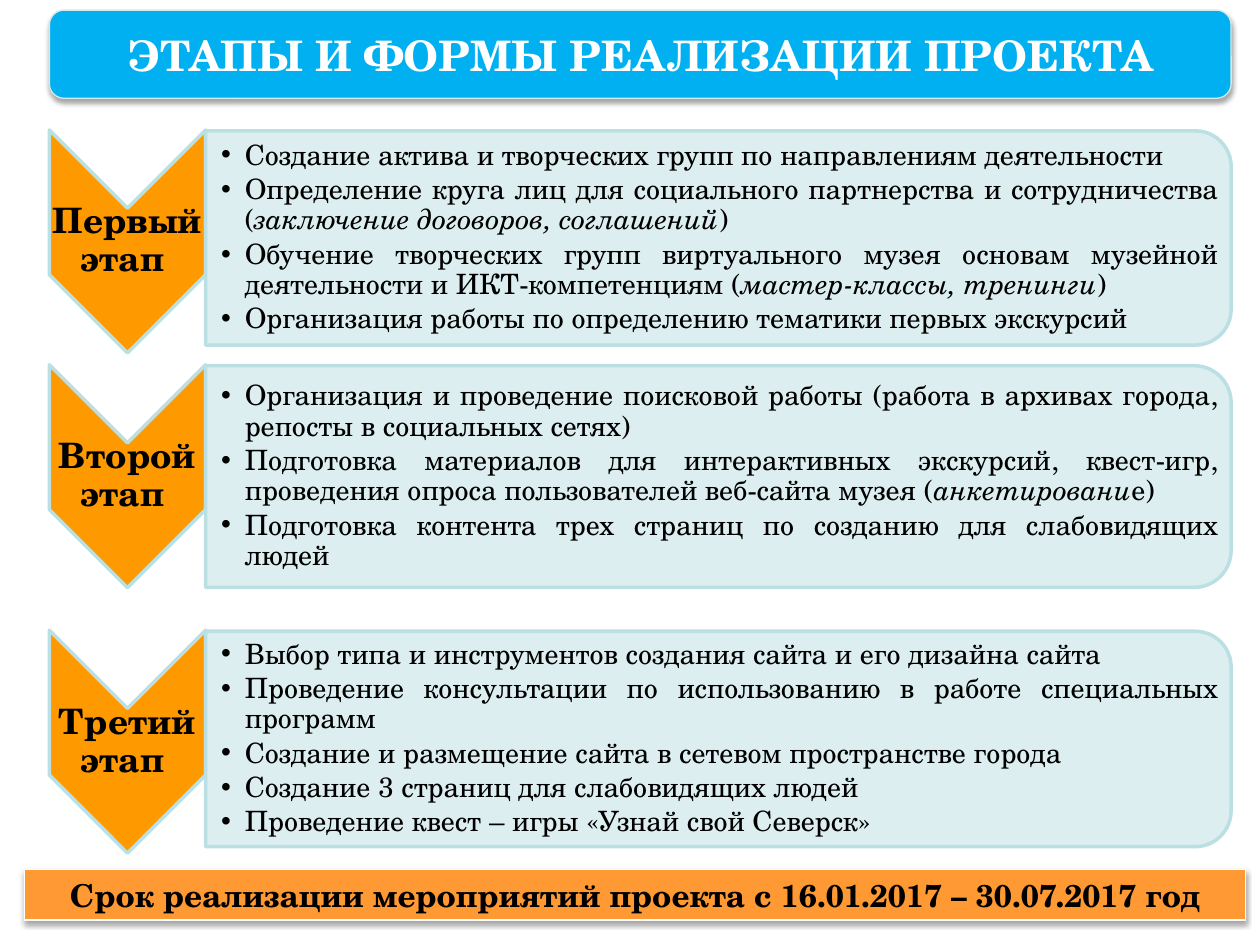
from lxml.etree import SubElement
from pptx import Presentation
from pptx.dml.color import RGBColor
from pptx.enum.shapes import MSO_SHAPE as Preset
from pptx.enum.text import MSO_ANCHOR as Anchor, PP_ALIGN as Align
from pptx.oxml.ns import qn
from pptx.util import Pt

FONT = "TeX Gyre Schola"
COLORS = {
    "title": "00B0F0",
    "title_line": "D5E8EA",
    "chevron": "FF9900",
    "panel": "DAEDEF",
    "stage_line": "BBE0E3",
    "deadline": "FF9933",
    "white": "FFFFFF",
    "black": "000000",
}
CHEVRON_WIDTH = 89.3
CHEVRON_HEIGHT = 127.4
STAGE_LEFT = 28.2
STAGE_WIDTH = 675.3

STAGES = [
    ("Первый этап ", 74.8, 122.4, [
        [("Создание актива и творческих групп по направлениям деятельности", False)],
        [("Определение круга лиц для социального партнерства и сотрудничества (", False),
         ("заключение договоров, соглашений", True), (")", False)],
        [("Обучение творческих групп виртуального музея основам музейной деятельности "
          "и ИКТ-компетенциям (", False),
         ("мастер-классы, тренинги", True), (")", False)],
        [("Организация работы по определению тематики первых экскурсий", False)],
    ]),
    ("Второй этап ", 209, 126.7, [
        [("Организация и проведение поисковой работы (работа в архивах города, "
          "репосты в социальных сетях)", False)],
        [("Подготовка материалов для интерактивных экскурсий, квест-игр, проведения "
          "опроса пользователей веб-сайта музея (", False),
         ("анкетировани", True), ("е)", False)],
        [("Подготовка контента трех страниц по созданию для слабовидящих людей", False)],
    ]),
    ("Третий этап ", 360.7, 123.1, [
        [("Выбор типа и инструментов создания сайта и его дизайна сайта", False)],
        [("Проведение консультации по использованию в работе специальных программ", False)],
        [("Создание и размещение сайта в сетевом пространстве города", False)],
        [("Создание 3 страниц для слабовидящих людей", False)],
        [("Проведение квест – игры «Узнай свой Северск»", False)],
    ]),
]


def rgb(name):
    return RGBColor.from_string(COLORS[name])


def add_run(paragraph, text, size, color="black", bold=False, italic=False):
    run = paragraph.add_run()
    run.text = text
    run.font.name = FONT
    run.font.size = Pt(size)
    run.font.bold = bold
    run.font.italic = italic
    run.font.color.rgb = rgb(color)


def add_outlined(slide, preset, box, fill, line, line_width):
    outlined = slide.shapes.add_shape(preset, *map(Pt, box))
    outlined.shadow.inherit = False
    outlined.fill.solid()
    outlined.fill.fore_color.rgb = rgb(fill)
    outlined.line.color.rgb = rgb(line)
    outlined.line.width = Pt(line_width)
    return outlined


def add_turned(slide, preset, box, fill):
    left, top, width, height = box
    shift = (width - height) / 2
    turned = add_outlined(slide, preset, (left + shift, top - shift, height, width),
                          fill, "stage_line", 2)
    turned.rotation = 90
    return turned


def add_text_area(slide, box, left_inset):
    frame = slide.shapes.add_textbox(*map(Pt, box)).text_frame
    frame.word_wrap = True
    frame.vertical_anchor = Anchor.MIDDLE
    frame.margin_left = Pt(left_inset)
    frame.margin_top = frame.margin_right = frame.margin_bottom = Pt(0.8)
    return frame


def set_bullet(paragraph):
    properties = paragraph._p.get_or_add_pPr()
    properties.set("marL", str(Pt(13.5)))
    properties.set("indent", str(Pt(-13.5)))
    SubElement(properties, qn("a:buFont"), typeface="Arial")
    SubElement(properties, qn("a:buChar"), char="•")


def set_alpha(color_element, percent):
    SubElement(color_element, qn("a:alpha"), val=str(percent * 1000))


def add_soft_shadow(banner):
    effects = banner._element.spPr.find(qn("a:effectLst"))
    shadow = SubElement(effects, qn("a:outerShdw"), blurRad=str(Pt(3.1)),
                        dist=str(Pt(1.8)), dir="5400000", rotWithShape="0")
    set_alpha(SubElement(shadow, qn("a:srgbClr"), val=COLORS["black"]), 35)


def add_chevron(slide, box, label):
    left, top, width, height = box
    add_turned(slide, Preset.CHEVRON, box, "chevron")
    frame = add_text_area(slide, (left, top + width / 2, width, height - width), 0.8)
    paragraph = frame.paragraphs[0]
    paragraph.alignment = Align.CENTER
    paragraph.line_spacing = 0.9
    add_run(paragraph, label, 20, bold=True)


def add_panel(slide, box, items):
    left, top, width, height = box
    panel = add_turned(slide, Preset.ROUND_2_SAME_RECTANGLE, box, "panel")
    set_alpha(panel._element.spPr.find(qn("a:solidFill"))[0], 90)
    frame = add_text_area(slide, (left, top + 6, width - 6, height - 12), 8.9)
    for index, item in enumerate(items):
        paragraph = frame.add_paragraph() if index else frame.paragraphs[0]
        paragraph.alignment = Align.JUSTIFY
        paragraph.line_spacing = 0.9
        paragraph.space_after = Pt(2.4)
        set_bullet(paragraph)
        for text, italic in item:
            add_run(paragraph, text, 16, italic=italic)


def add_stage(slide, box, label, items):
    left, top, width, height = box
    add_chevron(slide, (left, top - 0.5, CHEVRON_WIDTH, CHEVRON_HEIGHT), label)
    add_panel(slide, (left + CHEVRON_WIDTH, top, width - CHEVRON_WIDTH, height), items)


def add_banner(slide, preset, box, fill, line, text, size, color):
    banner = add_outlined(slide, preset, box, fill, line, 0.75)
    add_soft_shadow(banner)
    frame = banner.text_frame
    frame.word_wrap = True
    frame.vertical_anchor = Anchor.MIDDLE
    paragraph = frame.paragraphs[0]
    paragraph.alignment = Align.CENTER
    add_run(paragraph, text, size, color, bold=True)


def main():
    deck = Presentation()
    deck.slide_width, deck.slide_height = Pt(720), Pt(540)
    slide = deck.slides.add_slide(deck.slide_layouts[6])
    for label, top, height, items in STAGES:
        add_stage(slide, (STAGE_LEFT, top, STAGE_WIDTH, height), label, items)
    add_banner(slide, Preset.FLOWCHART_ALTERNATE_PROCESS, (STAGE_LEFT, 5.8, STAGE_WIDTH, 50.4),
               "title", "title_line", "ЭТАПЫ И ФОРМЫ РЕАЛИЗАЦИИ ПРОЕКТА", 24, "white")
    add_banner(slide, Preset.RECTANGLE, (14.2, 496.8, 697.7, 29),
               "deadline", "white",
               "Срок реализации мероприятий проекта с 16.01.2017 – 30.07.2017 год", 18, "black")
    deck.save("out.pptx")


if __name__ == "__main__":
    main()
